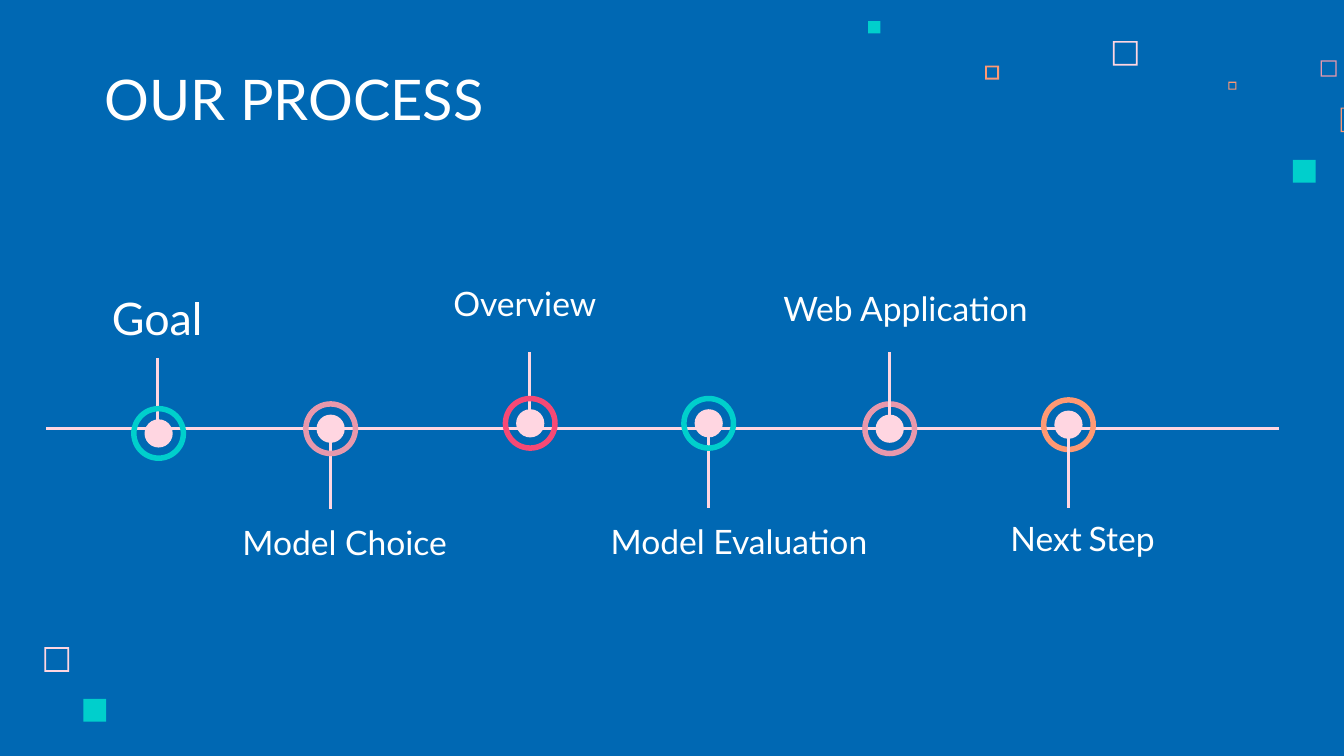
from lxml import etree
from pptx import Presentation
from pptx import util as u
from pptx.dml.color import RGBColor
from pptx.enum import shapes, text
from pptx.oxml.ns import qn

COLORS = {
    "blue": "0068B3",
    "white": "FFFFFF",
    "blush": "FFD6E1",
    "rose": "E898AC",
    "orange": "FF9973",
    "teal": "00CFCC",
    "red": "F64975",
}
SHAPE = shapes.MSO_SHAPE
TOP, BOTTOM = text.MSO_ANCHOR.TOP, text.MSO_ANCHOR.BOTTOM
LEFT, CENTER = text.PP_ALIGN.LEFT, text.PP_ALIGN.CENTER

prs = Presentation()
prs.slide_width = u.Inches(10)
prs.slide_height = prs.slide_width * 9 // 16
col = row = prs.slide_width // 100
s = prs.slides.add_slide(prs.slide_layouts[5])
s.background.fill.solid()
s.background.fill.fore_color.rgb = RGBColor.from_string(COLORS["blue"])


def add_mark(kind, x, y, size, color, adj=None):
    sp = s.shapes.add_shape(kind, int(x * col), int(y * row), int(size * col), int(size * row))
    sp.shadow.inherit = False
    sp.fill.solid()
    sp.fill.fore_color.rgb = RGBColor.from_string(COLORS[color])
    sp.line.fill.background()
    if adj is not None:
        sp.adjustments[0] = adj


def add_line(x1, y1, x2, y2):
    cxn = s.shapes.add_connector(
        shapes.MSO_CONNECTOR.STRAIGHT, int(x1 * col), int(y1 * row), int(x2 * col), int(y2 * row)
    )
    cxn.line.color.rgb = RGBColor.from_string(COLORS["blush"])
    cxn.line.width = u.Pt(1.5)
    etree.SubElement(cxn._element.spPr, qn("a:effectLst"))


frames = [
    (82.8, 3.05, 1.84, "blush", 0.07),
    (98.25, 4.5, 1.2, "rose", 0.08),
    (91.4, 6.08, 0.6, "orange", 0.14),
    (99.75, 8, 1.84, "orange", 0.05),
    (73.3, 4.88, 1.04, "orange", 0.14),
    (3.3, 48.15, 1.84, "blush", 0.07),
]
for x, y, size, color, adj in frames:
    add_mark(SHAPE.FRAME, x, y, size, color, adj)
for x, y, size in [(96.2, 11.9, 1.7), (64.6, 1.58, 0.9), (6.2, 52, 1.7)]:
    add_mark(SHAPE.RECTANGLE, x, y, size, "teal")

stems = [
    (11.7, 26.65, 31.6),
    (24.6, 32.9, 37.9),
    (39.4, 26.2, 31.8),
    (52.7, 30.8, 37.8),
    (66.2, 26.2, 32.9),
    (79.5, 31.2, 37.8),
]
for x, y1, y2 in stems[:4]:
    add_line(x, y1, x, y2)
add_line(3.45, 31.9, 95.2, 31.9)

milestones = [
    (11.8, 32.25, "teal"),
    (24.6, 31.9, "rose"),
    (39.45, 31.5, "red"),
    (52.73, 31.5, "teal"),
    (66.2, 31.9, "rose"),
    (79.5, 31.6, "orange"),
]
dot, ring = 2.1, 4.1
for x, y, color in milestones:
    add_mark(SHAPE.OVAL, x - dot / 2, y - dot / 2, dot, "blush")
    add_mark(SHAPE.DONUT, x - ring / 2, y - ring / 2, ring, color, 0.1)
for x, y1, y2 in stems[4:]:
    add_line(x, y1, x, y2)

labels = [
    (["OUR PROCESS"], 6.8, 4.5, 51.7, 6.3, 30, BOTTOM, LEFT, 1),
    (["Goal"], 1.4, 20.65, 20.6, 4.7, 24, TOP, CENTER, 1),
    (["Overview"], 28.75, 20.35, 20.6, 4.7, 18, BOTTOM, CENTER, 1),
    (["Model Choice"], 15.35, 38.15, 20.6, 4.7, 18, BOTTOM, CENTER, 1),
    (["Model Evaluation"], 44.45, 38.3, 50.8, 4, 18, TOP, LEFT, 0.5),
    (["Web Application"], 57.3, 20.95, 52.8, 4, 18, TOP, LEFT, 0.5),
    (["Next", " ", "Step"], 74.2, 38.05, 61.9, 4, 18, TOP, LEFT, 0.5),
]
for i, (runs, x, y, w, h, size, anchor, align, inset) in enumerate(labels):
    box = [int(x * col), int(y * row), int(w * col), int(h * row)]
    if i == 0:
        sp = s.shapes.title
        sp.left, sp.top, sp.width, sp.height = box
    else:
        sp = s.shapes.add_textbox(*box)
    tf = sp.text_frame
    tf.word_wrap = True
    tf.auto_size = text.MSO_AUTO_SIZE.NONE
    tf.vertical_anchor = anchor
    tf.margin_left = tf.margin_right = col
    tf.margin_top = tf.margin_bottom = int(inset * row)
    p = tf.paragraphs[0]
    p.alignment = align
    p.font.name = "Lato"
    p.font.size = u.Pt(size)
    p.font.color.rgb = RGBColor.from_string(COLORS["white"])
    for part in runs:
        r = p.add_run()
        r.text = part
        if part == " ":
            r.font.size = u.Pt(14)

prs.save("out.pptx")
